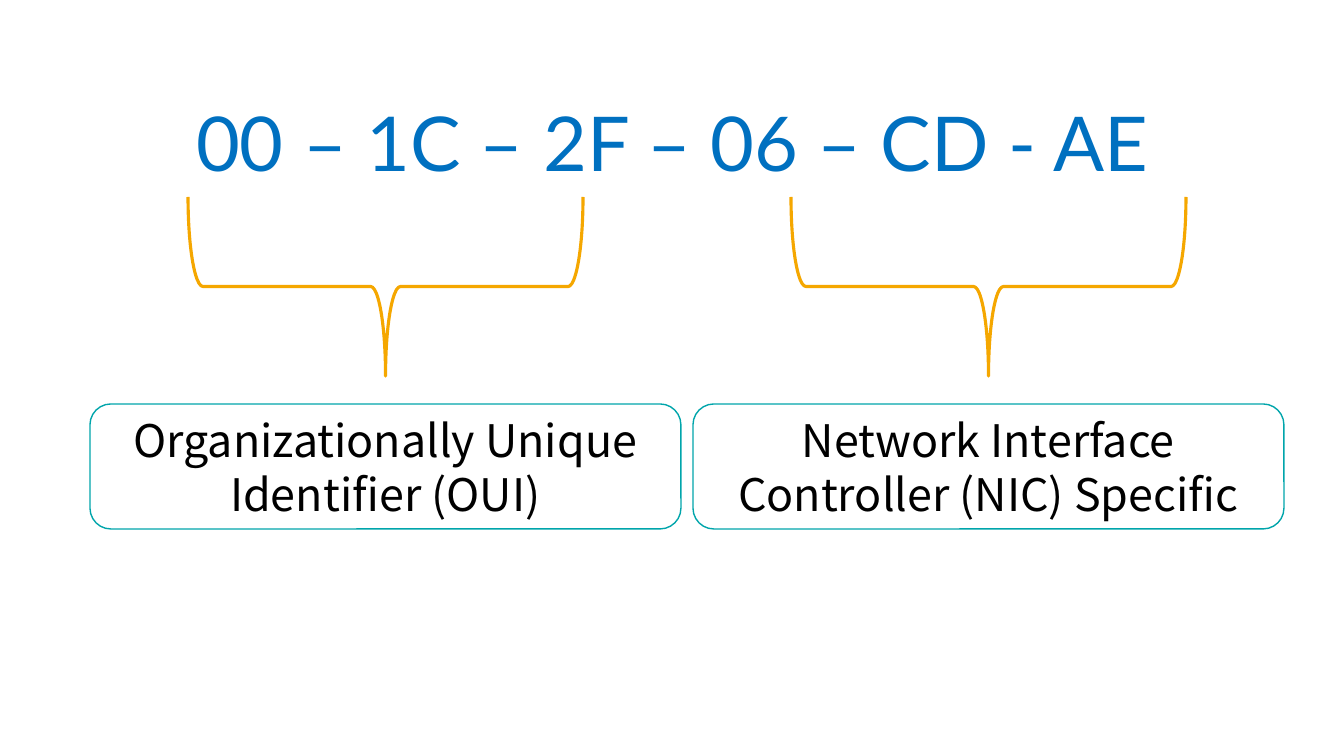
from pptx import Presentation
from pptx.dml.color import RGBColor
from pptx.enum.shapes import MSO_SHAPE as Preset
from pptx.enum.text import MSO_ANCHOR as Anchor, MSO_AUTO_SIZE as AutoSize, PP_ALIGN as Align
from pptx.util import Pt

EMU_PER_PX = 914400 / 100.8
BLUE = RGBColor(0x00, 0x70, 0xC0)
AMBER = RGBColor(0xF5, 0xA7, 0x00)
TEAL = RGBColor(0x00, 0xA5, 0xAB)
BLACK = RGBColor(0x00, 0x00, 0x00)
WHITE = RGBColor(0xFF, 0xFF, 0xFF)

ADDRESS = "00 – 1C – 2F – 06 – CD - AE"
PARTS = [
    "Organizationally Unique Identifier (OUI)",
    "Network Interface Controller (NIC) Specific",
]
ADDRESS_FONT = {"name": "Lato", "size": Pt(54)}
LABEL_FONT = {"name": "Noto Sans CJK SC", "size": Pt(32)}
FIRST_LEFT, PART_PITCH = 90, 603
LABEL_TOP, LABEL_WIDTH, LABEL_HEIGHT = 404, 591, 125
BRACE_TOP, BRACE_DEPTH, BRACE_SPAN = 89, 179, 395


def px(length):
    return round(length * EMU_PER_PX)


def set_attributes(target, values):
    for name, value in values.items():
        setattr(target, name, value)


def write_text(shape, text, font_values, color, frame_values):
    frame = shape.text_frame
    set_attributes(frame, frame_values)
    paragraph = frame.paragraphs[0]
    paragraph.alignment = Align.CENTER
    paragraph.line_spacing = font_values.get("spacing")
    run = paragraph.add_run()
    run.text = text
    set_attributes(run.font, font_values)
    run.font.color.rgb = color


def add_outlined(slide, preset, box, color, width):
    shape = slide.shapes.add_shape(preset, *map(px, box))
    shape.shadow.inherit = False
    shape.line.color.rgb = color
    shape.line.width = Pt(width)
    return shape


def place_address(slide):
    title = slide.shapes.title
    box = {"left": 144, "top": 91, "width": 1056, "height": 102}
    set_attributes(title, {name: px(length) for name, length in box.items()})
    write_text(title, ADDRESS, ADDRESS_FONT, BLUE, {
        "word_wrap": False,
        "auto_size": AutoSize.SHAPE_TO_FIT_TEXT,
        "vertical_anchor": Anchor.TOP,
    })


def add_brace(slide, center):
    box = (center - BRACE_DEPTH / 2, BRACE_TOP, BRACE_DEPTH, BRACE_SPAN)
    brace = add_outlined(slide, Preset.RIGHT_BRACE, box, AMBER, 2.25)
    brace.fill.background()
    brace.rotation = 90


def add_label(slide, left, text):
    box = (left, LABEL_TOP, LABEL_WIDTH, LABEL_HEIGHT)
    label = add_outlined(slide, Preset.ROUNDED_RECTANGLE, box, TEAL, 1)
    label.fill.solid()
    label.fill.fore_color.rgb = WHITE
    write_text(label, text, LABEL_FONT, BLACK, {
        "word_wrap": True,
        "vertical_anchor": Anchor.MIDDLE,
    })


def main():
    presentation = Presentation()
    set_attributes(presentation, {"slide_width": px(1344), "slide_height": px(756)})
    slide = presentation.slides.add_slide(presentation.slide_layouts[5])
    place_address(slide)
    for index, text in enumerate(PARTS):
        left = FIRST_LEFT + index * PART_PITCH
        add_brace(slide, left + LABEL_WIDTH / 2)
        add_label(slide, left, text)
    presentation.save("out.pptx")


if __name__ == "__main__":
    main()
